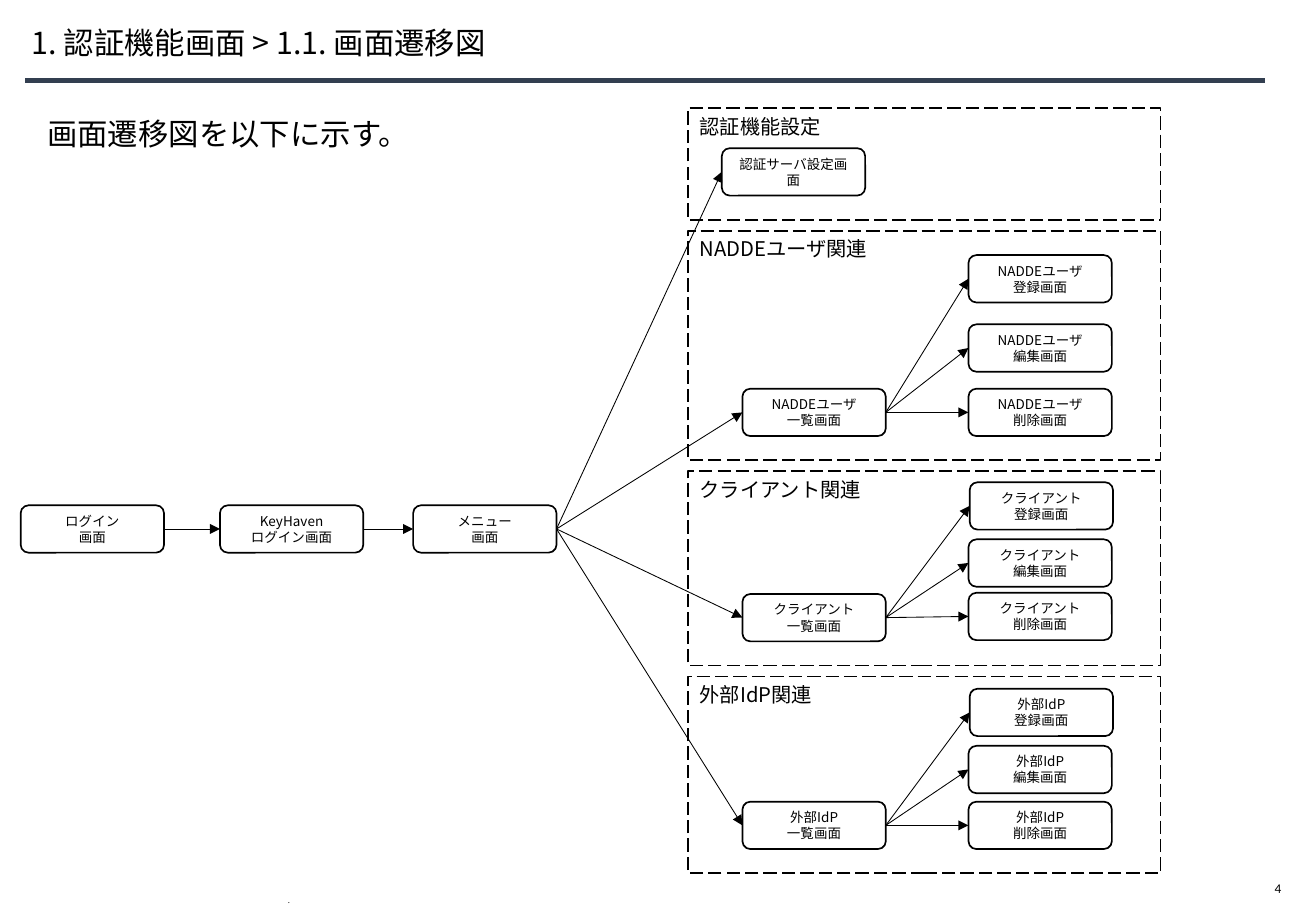
from lxml import etree
from pptx import Presentation
from pptx.dml.color import RGBColor
from pptx.enum.dml import MSO_LINE
from pptx.enum.shapes import MSO_CONNECTOR, MSO_SHAPE
from pptx.enum.text import MSO_ANCHOR, PP_ALIGN
from pptx.oxml.ns import qn
from pptx.util import Inches, Pt

FONT = "Noto Sans CJK JP"
BLACK, WHITE, NAVY = "000000", "FFFFFF", "333F50"


def write(frame, lines, size, align=PP_ALIGN.LEFT, font=FONT):
    for index, line in enumerate(lines):
        paragraph = frame.paragraphs[0] if index == 0 else frame.add_paragraph()
        paragraph.alignment = align
        run = paragraph.add_run()
        run.text = line
        run.font.size = Pt(size)
        run.font.name = font
        run.font.color.rgb = RGBColor.from_string(BLACK)
        east_asian = etree.SubElement(run.font._element, qn("a:ea"))
        east_asian.set("typeface", font)


def add_box(kind, left, top, width, height):
    shape = slide.shapes.add_shape(kind, Inches(left), Inches(top), Inches(width), Inches(height))
    shape.shadow.inherit = False
    shape.fill.solid()
    shape.fill.fore_color.rgb = RGBColor.from_string(WHITE)
    shape.line.color.rgb = RGBColor.from_string(BLACK)
    shape.line.width = Pt(1)
    return shape


presentation = Presentation()
presentation.slide_width = Inches(10.83)
presentation.slide_height = Inches(7.5)
slide = presentation.slides.add_slide(presentation.slide_layouts[5])

title = slide.shapes.title
title.left, title.top = Inches(0.26), Inches(0.13)
title.width, title.height = Inches(9.92), Inches(0.47)
title.text_frame.margin_left = 0
title.text_frame.vertical_anchor = MSO_ANCHOR.MIDDLE
write(title.text_frame, ["1. 認証機能画面 > 1.1. 画面遷移図"], 18)
title.text_frame.paragraphs[0].line_spacing = 0.9

text_boxes = [
    ("画面遷移図を以下に示す。", 0.29, 0.9, 2.99, 0.4, 18, FONT, False),
    ("4", 10.39, 7.2, 0.39, 0.23, 7.9, "Calibri", False),
    (".", 2.27, 7.38, 6.3, 0.12, 4.6, FONT, True),
]
for text, left, top, width, height, size, font, is_footer in text_boxes:
    text_box = slide.shapes.add_textbox(Inches(left), Inches(top), Inches(width), Inches(height))
    write(text_box.text_frame, [text], size, font=font)
    if is_footer:
        text_box.text_frame.word_wrap = True
        text_box.text_frame.vertical_anchor = MSO_ANCHOR.BOTTOM
        text_box.text_frame.paragraphs[0].line_spacing = Pt(1.3)

groups = [
    ("認証機能設定", 0.89, 0.92),
    ("NADDEユーザ関連", 1.9, 1.89),
    ("クライアント関連", 3.88, 1.6),
    ("外部IdP関連", 5.57, 1.62),
]
for name, top, height in groups:
    group_box = add_box(MSO_SHAPE.RECTANGLE, 5.66, top, 3.89, height)
    group_box.line.dash_style = MSO_LINE.LONG_DASH
    group_box.text_frame.vertical_anchor = MSO_ANCHOR.TOP
    write(group_box.text_frame, [name], 12)

screens = [
    ("login", 0.17, 4.16, ["ログイン", "画面"]),
    ("server login", 1.81, 4.16, ["KeyHaven", "ログイン画面"]),
    ("menu", 3.4, 4.16, ["メニュー", "画面"]),
    ("settings", 5.94, 1.22, ["認証サーバ設定画面"]),
]
links = [("login", "server login"), ("server login", "menu"), ("menu", "settings")]

managed = [
    ("NADDEユーザ", 3.2, [(7.97, 2.1), (7.97, 2.67), (7.97, 3.2)]),
    ("クライアント", 4.89, [(7.98, 3.97), (7.97, 4.44), (7.97, 4.88)]),
    ("外部IdP", 6.6, [(7.98, 5.67), (7.97, 6.14), (7.97, 6.6)]),
]
for subject, list_top, places in managed:
    list_key = subject + "一覧"
    screens.append((list_key, 6.11, list_top, [subject, "一覧画面"]))
    links.append(("menu", list_key))
    for action, (left, top) in zip(["登録", "編集", "削除"], places):
        screens.append((subject + action, left, top, [subject, action + "画面"]))
        links.append((list_key, subject + action))

screen_boxes = {}
for key, left, top, lines in screens:
    screen_box = add_box(MSO_SHAPE.ROUNDED_RECTANGLE, left, top, 1.18, 0.39)
    screen_box.text_frame.vertical_anchor = MSO_ANCHOR.MIDDLE
    write(screen_box.text_frame, lines, 8, PP_ALIGN.CENTER)
    screen_boxes[key] = screen_box

arrows = []
for source, target in links:
    arrow = slide.shapes.add_connector(MSO_CONNECTOR.STRAIGHT, 0, 0, 0, 0)
    arrow.begin_connect(screen_boxes[source], 3)
    arrow.end_connect(screen_boxes[target], 1)
    arrow.line.color.rgb = RGBColor.from_string(BLACK)
    arrow.line.width = Pt(0.5)
    etree.SubElement(arrow.line._get_or_add_ln(), qn("a:tailEnd")).set("type", "triangle")
    arrows.append(arrow)

title_rule = slide.shapes.add_connector(
    MSO_CONNECTOR.STRAIGHT, Inches(0.21), Inches(0.66), Inches(10.41), Inches(0.66))
title_rule.line.color.rgb = RGBColor.from_string(NAVY)
title_rule.line.width = Pt(3)

for connector in arrows + [title_rule]:
    etree.SubElement(connector._element.spPr, qn("a:effectLst"))

presentation.save("out.pptx")
